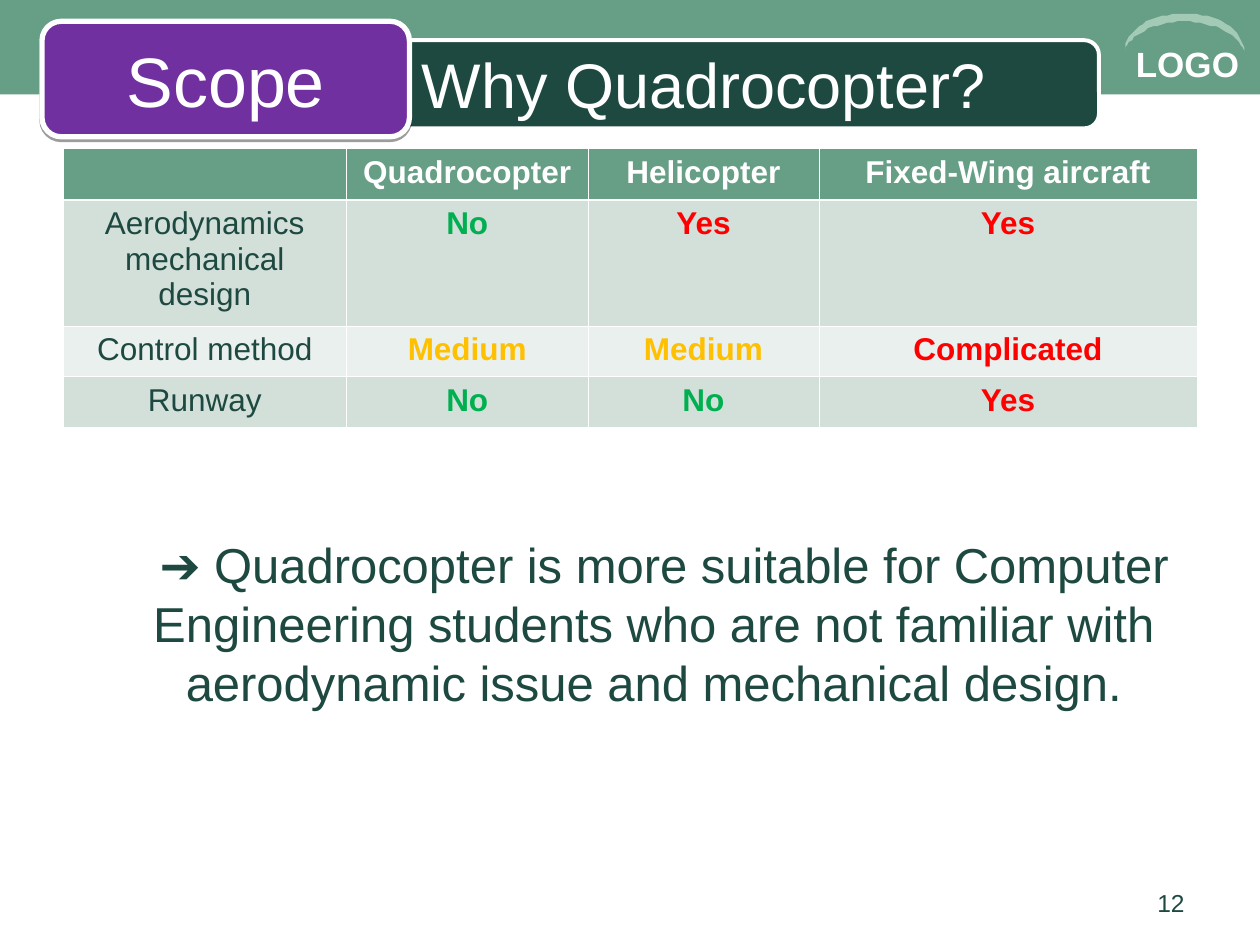
from dataclasses import dataclass
from typing import Optional

from lxml import etree
from pptx import Presentation
from pptx.dml.color import RGBColor
from pptx.enum.shapes import MSO_SHAPE
from pptx.enum.text import MSO_ANCHOR, PP_ALIGN
from pptx.oxml.ns import qn
from pptx.util import Pt

RECT, ROUNDED = MSO_SHAPE.RECTANGLE, MSO_SHAPE.ROUNDED_RECTANGLE
LEFT, CENTER, RIGHT = PP_ALIGN.LEFT, PP_ALIGN.CENTER, PP_ALIGN.RIGHT
TOP, MIDDLE = MSO_ANCHOR.TOP, MSO_ANCHOR.MIDDLE

COLORS = {
    "white": "FFFFFF", "green": "669E86", "dark": "1D4940", "arc": "A2CAB4",
    "purple": "7030A0", "band": "D3DFD9", "light": "EAF0ED",
    "good": "00B050", "fair": "FFC000", "bad": "FF0000", "black": "000000",
}
RATING = {"No": "good", "Medium": "fair", "Yes": "bad", "Complicated": "bad"}
COLUMN_WIDTHS = [162, 138, 132, 216]
ROW_HEIGHTS = [29.2, 72, 29, 29.2]
ROW_FILLS = ["green", "band", "light", "band"]
ROWS = [
    ["", "Quadrocopter", "Helicopter", "Fixed-Wing aircraft"],
    ["Aerodynamics mechanical design", "No", "Yes", "Yes"],
    ["Control method", "Medium", "Medium", "Complicated"],
    ["Runway", "No", "No", "Yes"],
]


@dataclass
class Box:
    x: float
    y: float
    w: float
    h: float

    def lengths(self) -> list:
        return [Pt(v) for v in (self.x, self.y, self.w, self.h)]


@dataclass
class Label:
    text: str
    size: float
    color: str
    bold: bool = False
    align: PP_ALIGN = LEFT
    anchor: MSO_ANCHOR = TOP


def rgb(name: str) -> RGBColor:
    return RGBColor.from_string(COLORS[name])


def write(tf, label: Label):
    p = tf.paragraphs[0]
    p.alignment = label.align
    r = p.add_run()
    r.text = label.text
    formats = {"name": "Arial", "size": Pt(label.size), "bold": label.bold}
    for name, value in formats.items():
        setattr(r.font, name, value)
    r.font.color.rgb = rgb(label.color)
    return p


def add_label(s, box: Box, label: Label):
    tf = s.shapes.add_textbox(*box.lengths()).text_frame
    tf.word_wrap = True
    tf.vertical_anchor = label.anchor
    return write(tf, label)


def add_panel(s, kind: MSO_SHAPE, box: Box, fill: str, line: Optional[float] = None):
    sp = s.shapes.add_shape(kind, *box.lengths())
    sp.shadow.inherit = False
    sp.fill.solid()
    sp.fill.fore_color.rgb = rgb(fill)
    if line is None:
        sp.line.fill.background()
    else:
        sp.line.color.rgb = rgb("white")
        sp.line.width = Pt(line)
    return sp


def add_drop_shadow(sp) -> None:
    effects = sp._element.spPr.find(qn("a:effectLst"))
    shadow = etree.SubElement(effects, qn("a:outerShdw"), dist=str(Pt(1.6)),
                              dir="5400000", rotWithShape="0")
    color = etree.SubElement(shadow, qn("a:srgbClr"), val=COLORS["black"])
    etree.SubElement(color, qn("a:alpha"), val="38000")


def curve(points: list, steps: int = 16) -> list:
    """Points along a cubic curve, without its start."""
    result = []
    for i in range(1, steps + 1):
        t = i / steps
        weights = ((1 - t) ** 3, 3 * t * (1 - t) ** 2, 3 * t * t * (1 - t), t ** 3)
        result.append(tuple(sum(w * pt[axis] for w, pt in zip(weights, points))
                            for axis in (0, 1)))
    return result


def add_arc(s) -> None:
    left, mid, right = 642.8, 676.8, 710.8
    base, inner, outer = 28.9, 12.3, 7.6
    segments = [
        [(right, base), (708, 20.8), (695, inner), (mid, inner)],
        [(mid, inner), (658.6, inner), (645.6, 20.8), (left, base)],
        [(left, base), (left, 17.2), (658, outer), (mid, outer)],
        [(mid, outer), (695.6, outer), (right, 17.2), (right, base)],
    ]
    builder = s.shapes.build_freeform(right, base, scale=float(Pt(1)))
    builder.add_line_segments([pt for seg in segments for pt in curve(seg)])
    sp = builder.convert_to_shape()
    sp.shadow.inherit = False
    sp.fill.solid()
    sp.fill.fore_color.rgb = rgb("arc")
    sp.line.fill.background()


def set_borders(cell, widths: dict) -> None:
    tc_pr = cell._tc.get_or_add_tcPr()
    for i, (side, width) in enumerate(widths.items()):
        ln = etree.Element(qn(f"a:ln{side}"), w=str(Pt(width)))
        fill = etree.SubElement(ln, qn("a:solidFill"))
        etree.SubElement(fill, qn("a:srgbClr"), val=COLORS["white"])
        tc_pr.insert(i, ln)


def add_comparison(s, box: Box) -> None:
    table = s.shapes.add_table(len(ROWS), len(COLUMN_WIDTHS), *box.lengths()).table
    for column, width in zip(table.columns, COLUMN_WIDTHS):
        column.width = Pt(width)
    for i, texts in enumerate(ROWS):
        table.rows[i].height = Pt(ROW_HEIGHTS[i])
        for j, text in enumerate(texts):
            cell = table.cell(i, j)
            cell.fill.solid()
            cell.fill.fore_color.rgb = rgb(ROW_FILLS[i])
            set_borders(cell, {"L": 0.45, "R": 0.45,
                               "T": 1.47 if i == 1 else 0.45,
                               "B": 1.47 if i == 0 else 0.45})
            color = "white" if i == 0 else RATING.get(text, "dark")
            if text:
                write(cell.text_frame,
                      Label(text, 18, color, color != "dark", CENTER))


def main() -> None:
    prs = Presentation()
    prs.slide_width, prs.slide_height = Pt(720), Pt(540)
    s = prs.slides.add_slide(prs.slide_layouts[6])

    # Header band, title bar and logo placeholder
    add_panel(s, RECT, Box(0, 0, 720, 54), "green")
    add_panel(s, ROUNDED, Box(24, 23, 604, 50.4), "dark", 2.25)
    add_label(s, Box(642, 21, 78, 31.5), Label("LOGO", 20, "white", True))
    add_arc(s)
    add_label(s, Box(234, 25.2, 384, 44.6),
              Label("Why Quadrocopter?", 36, "white", anchor=MIDDLE))

    # Comparison table
    add_comparison(s, Box(36, 85, 648, 159.4))

    # Page number
    add_label(s, Box(516, 504, 168, 25.2), Label("12", 14, "dark", align=RIGHT))

    # Conclusion
    p = add_label(s, Box(36, 302, 648, 196), Label(
        "➔ Quadrocopter is more suitable for Computer Engineering students "
        "who are not familiar with aerodynamic issue and mechanical design.",
        28, "dark", align=CENTER))
    p_pr = p._p.get_or_add_pPr()
    p_pr.set("marL", str(Pt(27)))
    p_pr.set("indent", str(Pt(12)))

    # Section tag
    sp = add_panel(s, ROUNDED, Box(24, 12.2, 210, 66), "purple", 3)
    add_drop_shadow(sp)
    sp.text_frame.vertical_anchor = MIDDLE
    write(sp.text_frame, Label("Scope", 40, "white", align=CENTER))

    prs.save("out.pptx")


if __name__ == "__main__":
    main()
